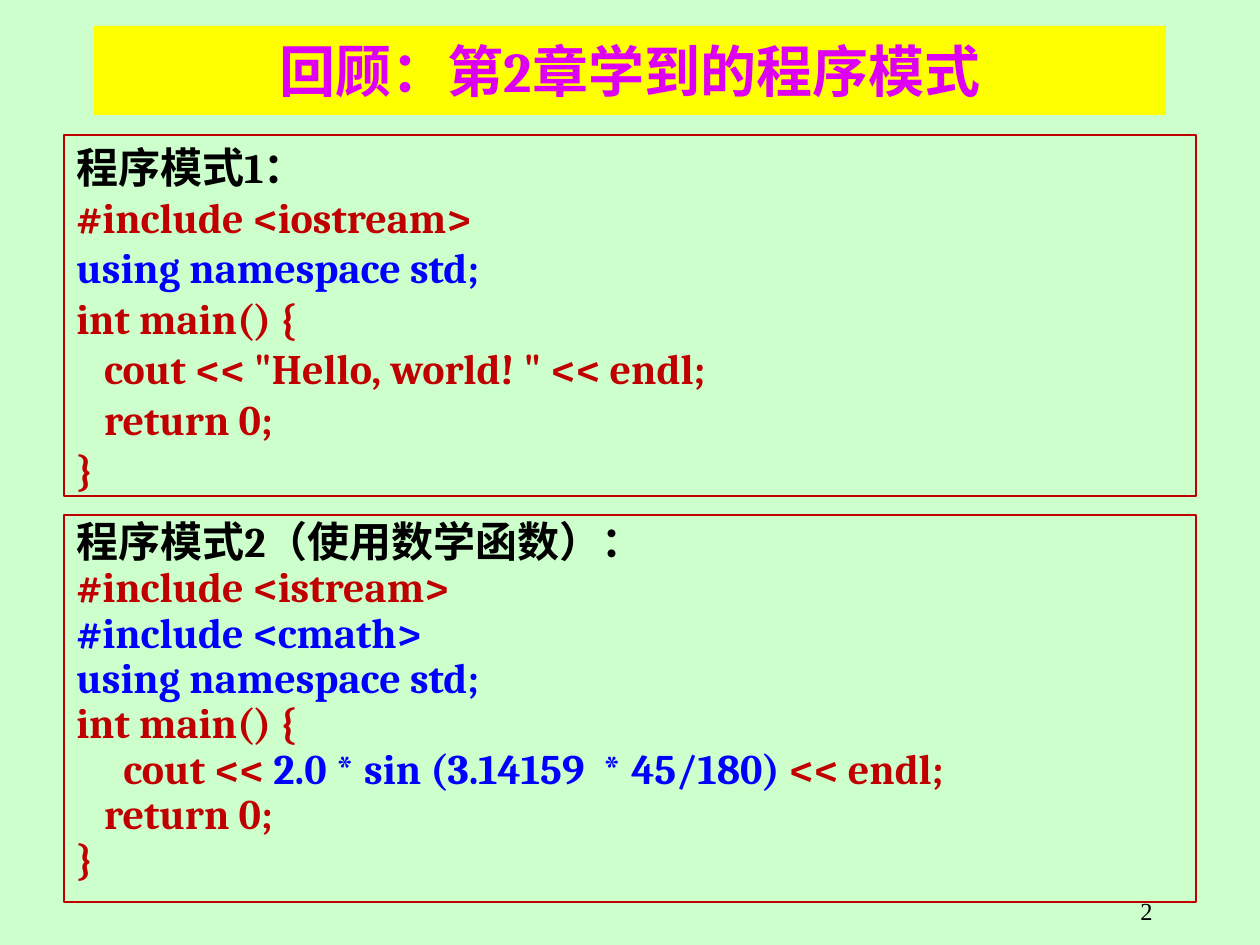
from pptx import Presentation
from pptx.dml.color import RGBColor
from pptx.enum.shapes import MSO_SHAPE as Shape
from pptx.enum.text import MSO_ANCHOR as Anchor, PP_ALIGN as Align
from pptx.util import Emu, Pt

EMU_PER_PX = 914400 / 126
BLACK, RED, BLUE = "000000", "C00000", "0000FF"
MAGENTA, YELLOW, MINT = "DE00F2", "FFFF00", "CCFFCC"

HELLO_PROGRAM = [
    [("程序模式1：", BLACK)],
    [("#include <iostream>", RED)],
    [("using namespace std;", BLUE)],
    [("int main() {", RED)],
    [('   cout << "Hello, world! " << endl;', RED)],
    [("   return 0;", RED)],
    [("}", RED)],
]
MATH_PROGRAM = [
    [("程序模式2（使用数学函数）：", BLACK)],
    [("#include <istream>", RED)],
    [("#include <cmath>", BLUE)],
    [("using namespace std;", BLUE)],
    [("int main() {", RED)],
    [(" \tcout << ", RED), ("2.0 * sin (3.14159  * 45/180)", BLUE), (" << endl;", RED)],
    [("   return 0;", RED)],
    [("}", RED)],
]


def px(length):
    """Turn a length in px into EMU."""
    return Emu(round(length * EMU_PER_PX))


def colour(value):
    """Turn a hex string into a colour."""
    return RGBColor.from_string(value)


def style(span, size, value, font="Cambria", bold=True):
    """Set the font of one run."""
    span.font.name = font
    span.font.size = Pt(size)
    span.font.bold = bold
    span.font.color.rgb = colour(value)


def add_panel(page, frame, fill=None, line=None):
    """Add a plain rectangle with an optional fill and outline."""
    box = page.shapes.add_shape(Shape.RECTANGLE, *map(px, frame))
    box.shadow.inherit = False
    if fill:
        box.fill.solid()
        box.fill.fore_color.rgb = colour(fill)
    else:
        box.fill.background()
    if line:
        box.line.color.rgb = colour(line)
        box.line.width = Pt(0.75)
    else:
        box.line.fill.background()
    box.text_frame.word_wrap = True
    return box


def add_title(page, frame, text):
    """Add the centred title on its coloured band."""
    box = add_panel(page, frame, fill=YELLOW)
    box.text_frame.vertical_anchor = Anchor.MIDDLE
    para = box.text_frame.paragraphs[0]
    para.text = text
    para.alignment = Align.CENTER
    style(para.runs[0], 32, MAGENTA)


def add_program(page, frame, lines, spacing=1.0):
    """Add an outlined box with a heading and coloured code lines."""
    box = add_panel(page, frame, line=RED)
    text_frame = box.text_frame
    text_frame.vertical_anchor = Anchor.TOP
    for index, line in enumerate(lines):
        para = text_frame.add_paragraph() if index else text_frame.paragraphs[0]
        para.alignment = Align.LEFT
        para.line_spacing = spacing
        properties = para._p.get_or_add_pPr()
        properties.set("marL", str(px(47)))
        properties.set("indent", str(px(-47)))
        for text, value in line:
            span = para.add_run()
            span.text = text
            style(span, 24, value)


def add_page_number(page, frame, number):
    """Add the right-aligned page number."""
    box = page.shapes.add_textbox(*map(px, frame))
    box.text_frame.word_wrap = True
    para = box.text_frame.paragraphs[0]
    para.text = str(number)
    para.alignment = Align.RIGHT
    style(para.runs[0], 14, BLACK, "Times New Roman", False)


def main():
    """Build the slide and save it."""
    deck = Presentation()
    deck.slide_width, deck.slide_height = px(1260), px(945)
    page = deck.slides.add_slide(deck.slide_layouts[6])
    page.background.fill.solid()
    page.background.fill.fore_color.rgb = colour(MINT)
    add_page_number(page, (903, 890, 262, 35), 2)
    add_title(page, (94, 26, 1072, 89), "回顾：第2章学到的程序模式")
    add_program(page, (64, 135, 1132, 361), HELLO_PROGRAM)
    add_program(page, (64, 515, 1132, 387), MATH_PROGRAM, 0.9)
    deck.save("out.pptx")


if __name__ == "__main__":
    main()
